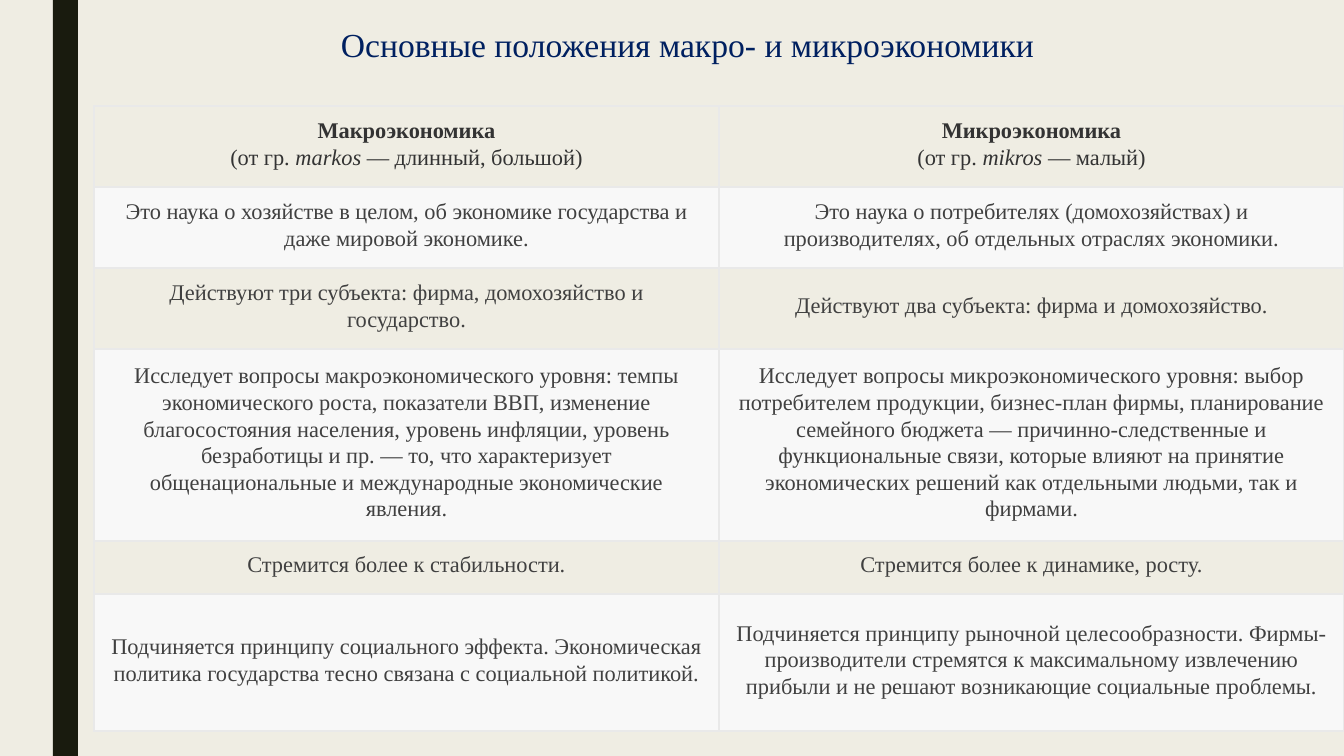
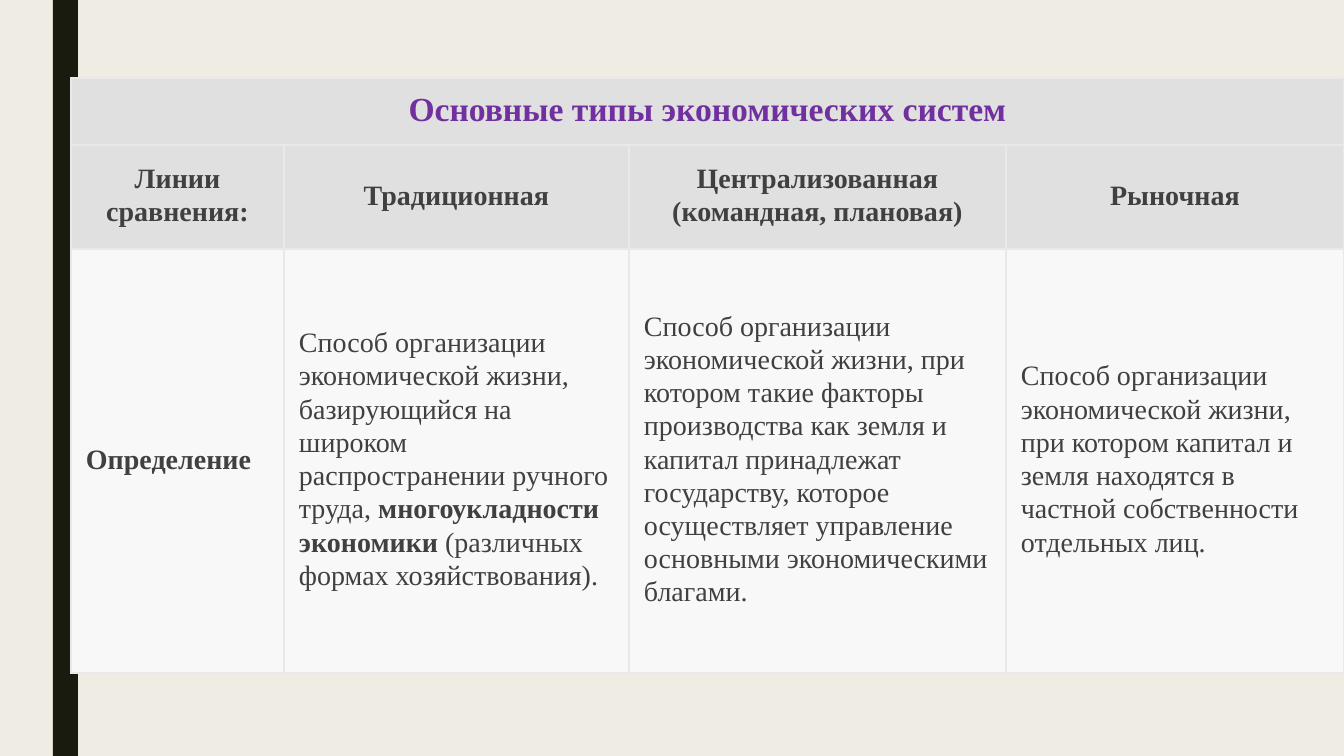
import pptx
import pptx.util
import pptx.dml.color
import pptx.enum.shapes
import pptx.enum.text
import pptx.oxml
import pptx.oxml.ns
from lxml import etree

RGB = pptx.dml.color.RGBColor
ALIGN = pptx.enum.text.PP_ALIGN
ANCHOR = pptx.enum.text.MSO_ANCHOR

CREAM = RGB(0xEF, 0xED, 0xE3)
DARK = RGB(0x19, 0x1B, 0x0E)
NAVY = RGB(0x00, 0x20, 0x60)
PURPLE = RGB(0x70, 0x30, 0xA0)
INK = RGB(0x33, 0x33, 0x33)
GRAY = RGB(0x40, 0x40, 0x40)
PALE = RGB(0xF8, 0xF8, 0xF8)
SILVER = RGB(0xE0, 0xE0, 0xE0)
EDGE = RGB(0xE9, 0xE9, 0xE9)
FONT = "Times New Roman"
WIDTH, HEIGHT = 1344, 756

# In all texts *...* marks bold and _..._ marks italic.
TITLE = "Основные положения макро- и микроэкономики"
FIELDS = [
    ("*Макроэкономика*\n(от гр. _markos_ — длинный, большой)",
     "*Микроэкономика*\n(от гр. _mikros_ — малый)"),
    ("Это наука о хозяйстве в целом, об экономике государства и даже мировой экономике.",
     "Это наука о потребителях (домохозяйствах) и производителях, "
     "об отдельных отраслях экономики."),
    ("Действуют три субъекта: фирма, домохозяйство и государство.",
     "Действуют два субъекта: фирма и домохозяйство."),
    ("Исследует вопросы макроэкономического уровня: темпы экономического роста, "
     "показатели ВВП, изменение благосостояния населения, уровень инфляции, "
     "уровень безработицы и пр. — то, что характеризует общенациональные "
     "и международные экономические явления.",
     "Исследует вопросы микроэкономического уровня: выбор потребителем продукции, "
     "бизнес-план фирмы, планирование семейного бюджета — причинно-следственные "
     "и функциональные связи, которые влияют на принятие экономических решений "
     "как отдельными людьми, так и фирмами."),
    ("Стремится более к стабильности.", "Стремится более к динамике, росту."),
    ("Подчиняется принципу социального эффекта. Экономическая политика государства "
     "тесно связана с социальной политикой.",
     "Подчиняется принципу рыночной целесообразности. Фирмы-производители стремятся "
     "к максимальному извлечению прибыли и не решают возникающие социальные проблемы."),
]
SYSTEMS = [
    ("*Основные типы экономических систем*",),
    ("*Линии сравнения:*", "*Традиционная*",
     "*Централизованная (командная, плановая)*", "*Рыночная*"),
    ("*Определение*",
     "Способ организации экономической жизни, базирующийся на широком распространении "
     "ручного труда, *многоукладности экономики* (различных формах хозяйствования).",
     "Способ организации экономической жизни, при котором такие факторы производства "
     "как земля и капитал принадлежат государству, которое осуществляет управление "
     "основными экономическими благами.",
     "Способ организации экономической жизни, при котором капитал и земля находятся "
     "в частной собственности отдельных лиц."),
]


def px(n):
    return pptx.util.Emu(round(n * 914400 / 100.8))


def write(frame, text, size=16, color=GRAY, align=ALIGN.CENTER, indent=0):
    """Fill a text frame from marked-up text, one paragraph a line."""
    for i, line in enumerate(text.split("\n")):
        para = frame.add_paragraph() if i else frame.paragraphs[0]
        para.alignment = align
        para.line_spacing = 1.07
        para.space_before = pptx.util.Pt(0)
        if indent:
            para._p.get_or_add_pPr().set("indent", str(px(indent)))
        for j, part in enumerate(line.split("*")):
            for k, piece in enumerate(part.split("_")):
                if not piece:
                    continue
                run = para.add_run()
                run.text = piece
                font = run.font
                font.name, font.size = FONT, pptx.util.Pt(size)
                font.bold, font.italic = j % 2 == 1, k % 2 == 1
                font.color.rgb = color


def edge(cell):
    """Draw thin lines on all four sides of a cell."""
    props = cell._tc.get_or_add_tcPr()
    tag = pptx.oxml.ns.qn
    for side in "LRTB":
        line = etree.SubElement(props, tag("a:ln" + side), w="12700")
        fill = etree.SubElement(line, tag("a:solidFill"))
        etree.SubElement(fill, tag("a:srgbClr"), val=str(EDGE))


def grid(slide, rows, left, top, wides, highs, pad, style):
    """Add a table; style gives (fill, text format) for a row and column."""
    table = slide.shapes.add_table(
        len(highs), len(wides), px(left), px(top), px(sum(wides)), px(sum(highs))).table
    table.first_row = table.horz_banding = False
    for col, wide in zip(table.columns, wides):
        col.width = px(wide)
    for r, (row, high) in enumerate(zip(rows, highs)):
        table.rows[r].height = px(high)
        for c in range(len(wides)):
            cell = table.cell(r, c)
            fill, look = style(r, c)
            edge(cell)
            if fill is None:
                cell.fill.background()
            else:
                cell.fill.solid()
                cell.fill.fore_color.rgb = fill
            cell.vertical_anchor = ANCHOR.MIDDLE
            cell.margin_left = cell.margin_right = cell.margin_bottom = px(pad)
            cell.margin_top = px(10)
            if c < len(row):
                write(cell.text_frame, row[c], **look)
        if len(row) == 1:
            table.cell(r, 0).merge(table.cell(r, len(wides) - 1))


def field_style(r, c):
    return PALE if r % 2 else None, dict(color=GRAY if r else INK)


def system_style(r, c):
    if r == 0:
        return SILVER, dict(size=24, color=PURPLE)
    if r == 1:
        return SILVER, dict(size=20)
    return PALE, dict(size=20, align=ALIGN.LEFT)


def theme(deck, slide):
    """Give the master its background and side band."""
    master = deck.slide_master
    master.background.fill.solid()
    master.background.fill.fore_color.rgb = CREAM
    band = slide.shapes.add_shape(
        pptx.enum.shapes.MSO_SHAPE.RECTANGLE, px(53), 0, px(25), px(HEIGHT))
    band.shadow.inherit = False
    band.fill.solid()
    band.fill.fore_color.rgb = DARK
    band.line.fill.background()
    master.shapes.element.insert(2, band.element)


def main():
    deck = pptx.Presentation()
    deck.slide_width, deck.slide_height = px(WIDTH), px(HEIGHT)

    first = deck.slides.add_slide(deck.slide_layouts[5])
    theme(deck, first)
    title = first.shapes.title
    title.left, title.top, title.width, title.height = map(px, (46, 13, 1234, 94))
    frame = title.text_frame
    frame.word_wrap = True
    frame.vertical_anchor = ANCHOR.TOP
    frame.margin_top = px(8)
    write(frame, TITLE, size=24, color=NAVY, indent=49)
    grid(first, FIELDS, 94, 106, [625] * 2, [81, 81, 81, 192, 53, 137], 16, field_style)

    second = deck.slides.add_slide(deck.slide_layouts[6])
    grid(second, SYSTEMS, 71, 78, [213, 345, 377, 338], [67, 104, 424], 15, system_style)

    deck.save("out.pptx")


if __name__ == "__main__":
    main()
